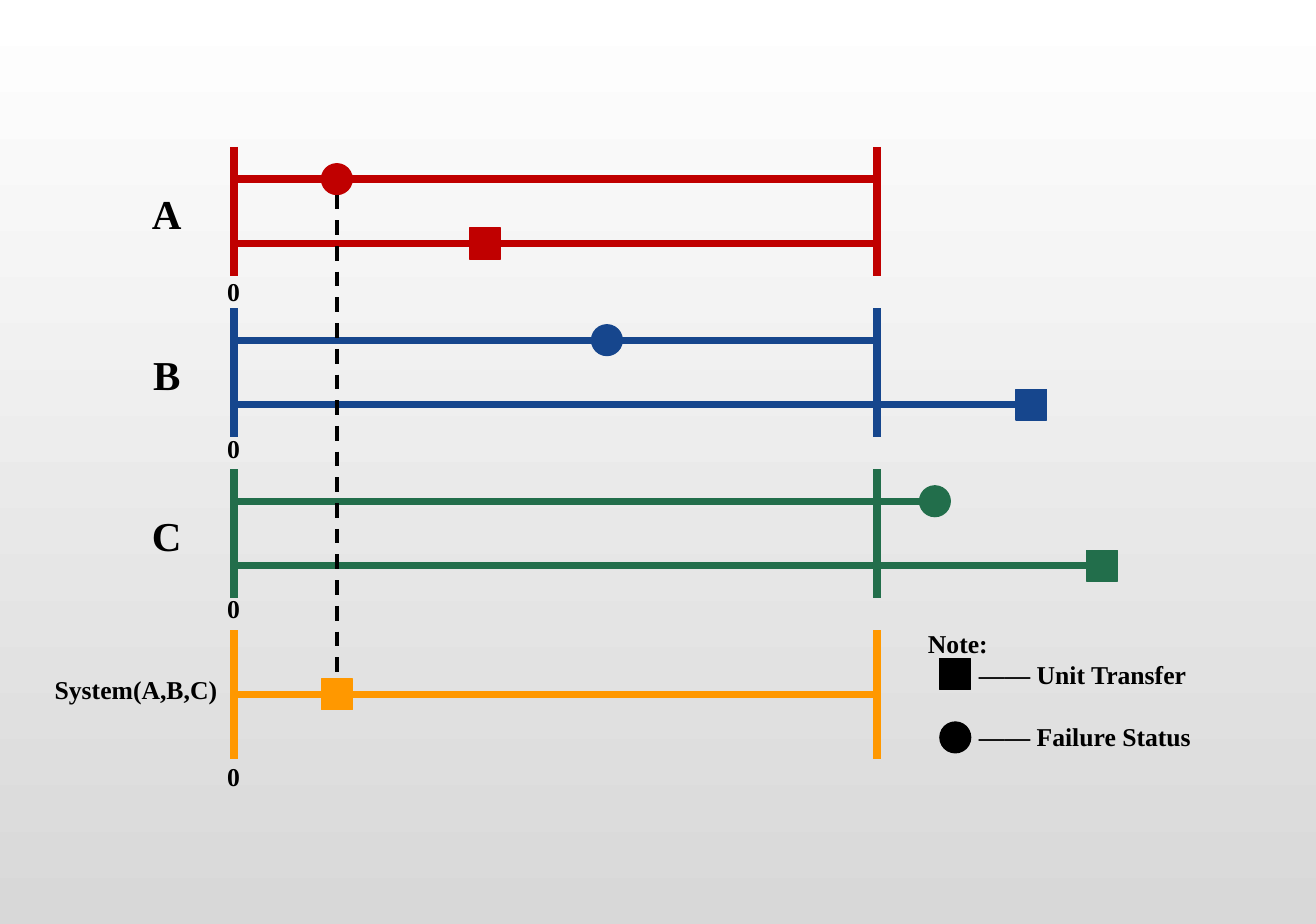
from lxml import etree
from pptx import Presentation
from pptx.dml.color import RGBColor
from pptx.enum.dml import MSO_LINE
from pptx.enum.shapes import MSO_CONNECTOR, MSO_SHAPE
from pptx.enum.text import PP_ALIGN
from pptx.oxml.ns import qn
from pptx.util import Inches, Pt

OVAL, RECT = MSO_SHAPE.OVAL, MSO_SHAPE.RECTANGLE
LINE, DASH = MSO_CONNECTOR.STRAIGHT, MSO_LINE.DASH
LEFT, MID = PP_ALIGN.LEFT, PP_ALIGN.CENTER

# Content: lane label, colour, marks as (shape, row, time share), lift of the zero
HUES = {"red": "C00000", "blue": "16468D", "green": "226E4B",
        "gold": "FF9800", "ink": "000000", "top": "FFFFFF", "base": "D8D8D8"}
LANES = [
    ("A", "red", [(OVAL, 1, 0.16), (RECT, 3, 0.39)], 0.05),
    ("B", "blue", [(OVAL, 1, 0.58), (RECT, 3, 1.24)], 0.09),
    ("C", "green", [(OVAL, 1, 1.09), (RECT, 3, 1.35)], 0.11),
    ("System(A,B,C)", "gold", [(RECT, 2, 0.16)], 0.03),
]
NOTE = ["Note:", "—— Unit Transfer", "—— Failure Status"]
KEYS = [(RECT, 7.66), (OVAL, 8.38)]

# Grid: a lane is four rows high, with one row between lanes
WIDE, HIGH = 14.96, 10.5
START, SPAN = 2.66, 7.31
TOP, PITCH = 1.67, 1.83
ROW = PITCH / 5
SIZE = 0.96 * ROW
FONT, BIG, SMALL = "Times New Roman", 33.6, 21
LEAD = 25.4

deck = Presentation()
deck.slide_width, deck.slide_height = Inches(WIDE), Inches(HIGH)
slide = deck.slides.add_slide(deck.slide_layouts[6])
parts = slide.shapes


def hue(name):
    return RGBColor.from_string(HUES[name])


def rule(x1, y1, x2, y2, tint, width=6):
    bar = parts.add_connector(LINE, *map(Inches, (x1, y1, x2, y2)))
    bar.line.color.rgb = hue(tint)
    bar.line.width = Pt(width)
    etree.SubElement(bar._element.spPr, qn("a:effectLst"))
    return bar


def mark(kind, x, y, tint):
    box = (x - SIZE / 2, y - SIZE / 2, SIZE, SIZE)
    dot = parts.add_shape(kind, *map(Inches, box))
    dot.shadow.inherit = False
    dot.fill.solid()
    dot.fill.fore_color.rgb = dot.line.color.rgb = hue(tint)
    dot.line.width = Pt(1)
    return dot


def text(lines, x, y, w, h, size=SMALL, align=MID, indent=0, lead=None, gap=0):
    frame = parts.add_textbox(*map(Inches, (x, y, w, h))).text_frame
    frame.word_wrap = True
    for i, line in enumerate(lines):
        para = frame.paragraphs[0] if i == 0 else frame.add_paragraph()
        para.text, para.alignment = line, align
        if lead:
            para.line_spacing = Pt(lead)
        if i and indent:
            para._p.get_or_add_pPr().set("marL", str(Inches(indent)))
        if i > 1:
            para.space_before = Pt(gap)
        font = para.runs[0].font
        font.name, font.size, font.bold = FONT, Pt(size), True
        font.color.rgb = hue("ink")


# Background, light at the top
fill = slide.background.fill
fill.gradient()
fill.gradient_angle = 270
for stop, name in zip(fill.gradient_stops, ("top", "base")):
    stop.color.rgb = hue(name)

# Lanes: end bars, tracks, marks and labels
dots = []
for n, (name, tint, marks, lift) in enumerate(LANES):
    top = TOP + n * PITCH
    foot = top + 4 * ROW
    for x in (START, START + SPAN):
        rule(x, top, x, foot, tint)
    for kind, row, time in marks:
        y = top + row * ROW
        rule(START, y, START + SPAN * max(1, time), y, tint)
        dots.append(mark(kind, START + SPAN * time, y, tint))
    if len(name) == 1:
        text([name], 1.14, top + 0.42, 1.51, 0.66, size=BIG)
    else:
        text([name], 0.03, top + 0.45, 3.03, 0.45)
    text(["0"], START - 0.76, foot - lift, 1.51, 0.45)

# Dashed link from the failure of A to the system
x = START + SPAN * 0.16
link = rule(x, TOP + ROW + SIZE / 2, x, TOP + 3 * PITCH + 2 * ROW - SIZE / 2,
            "ink", 3)
link.line.dash_style = DASH
link.end_connect(dots[-1], 0)

# Note
text(NOTE, 10.45, 7.08, 3.51, 1.51, align=LEFT, indent=0.58, lead=LEAD, gap=LEAD)
for kind, y in KEYS:
    mark(kind, 10.86, y, "ink")

deck.save("out.pptx")
